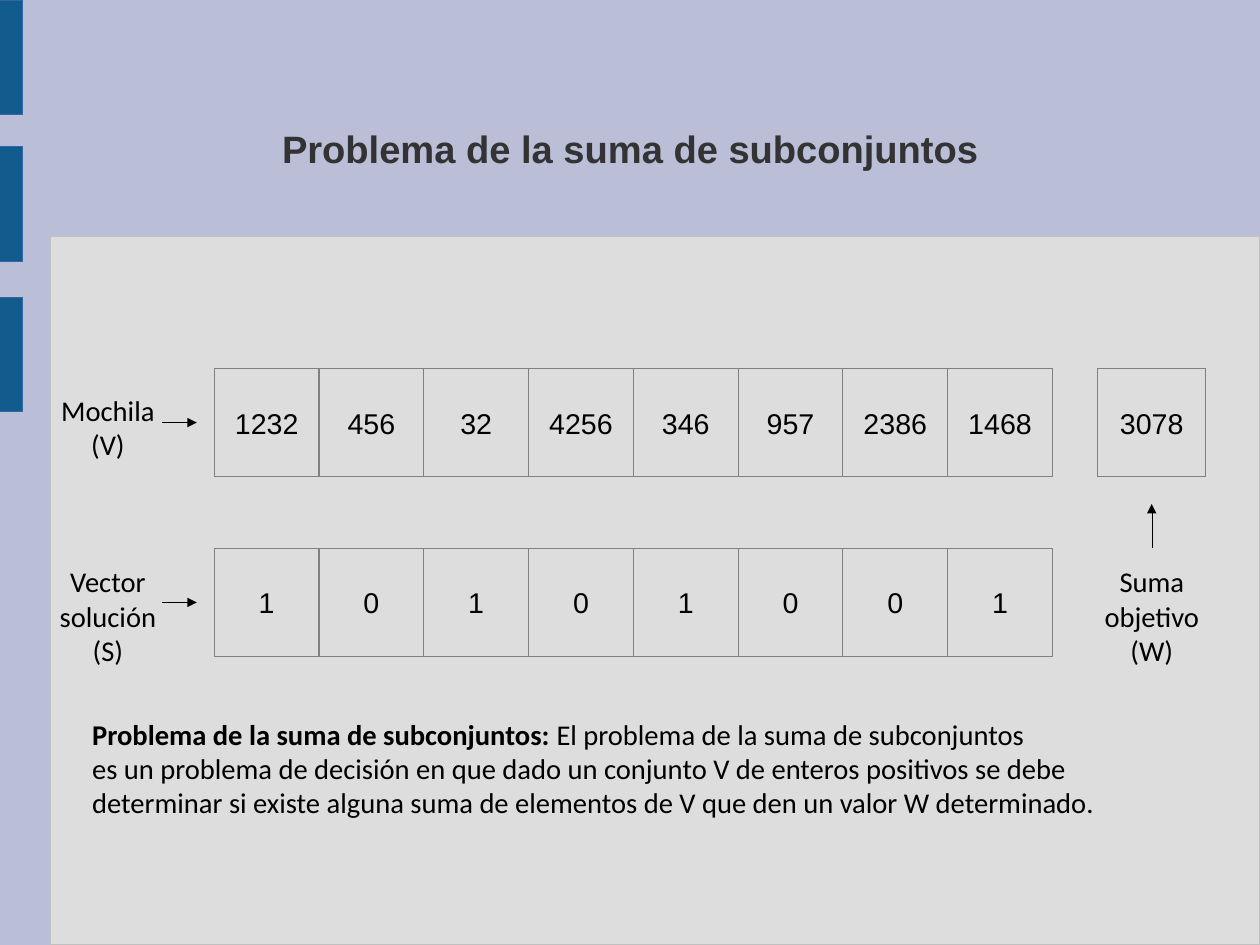
from lxml import etree
from pptx import Presentation
from pptx.dml.color import RGBColor
from pptx.enum.shapes import MSO_CONNECTOR, MSO_SHAPE
from pptx.enum.text import MSO_ANCHOR, PP_ALIGN
from pptx.oxml.ns import qn
from pptx.util import Pt

RECTANGLE = MSO_SHAPE.RECTANGLE
STRAIGHT = MSO_CONNECTOR.STRAIGHT
TOP, MIDDLE = MSO_ANCHOR.TOP, MSO_ANCHOR.MIDDLE
LEFT, CENTER = PP_ALIGN.LEFT, PP_ALIGN.CENTER

LAVENDER = RGBColor(0xBA, 0xBE, 0xD6)
PANEL_GREY = RGBColor(0xDD, 0xDD, 0xDD)
PANEL_EDGE = RGBColor(0xC0, 0xC0, 0xC0)
BAR_BLUE = RGBColor(0x12, 0x5C, 0x8D)
BAR_EDGE = RGBColor(0x34, 0x65, 0xA4)
CELL_EDGE = RGBColor(0x80, 0x80, 0x80)
TITLE_GREY = RGBColor(0x33, 0x33, 0x33)
BLACK = RGBColor(0, 0, 0)

WIDTH, HEIGHT = 793.75, 595.25
PANEL_LEFT, PANEL_TOP = 31.9, 149
CELL_LEFT, CELL_WIDTH, CELL_HEIGHT = 135, 66, 68
KNAPSACK_TOP, SOLUTION_TOP = 232.2, 345.5
TARGET_LEFT = 691.5
KNAPSACK = [1232, 456, 32, 4256, 346, 957, 2386, 1468]
SOLUTION = [1, 0, 1, 0, 1, 0, 0, 1]
TARGET = 3078
TITLE = "Problema de la suma de subconjuntos"
DEFINITION = [
    [(TITLE + ":", True), (" El problema de la suma de subconjuntos", False)],
    "es un problema de decisión en que dado un conjunto V de enteros positivos se debe",
    "determinar si existe alguna suma de elementos de V que den un valor W determinado.",
]


def write_text(shape, paragraphs, font="Calibri", size=18, color=BLACK, bold=False,
               align=CENTER, anchor=TOP, margins=(7.2, 3.6)):
    """Fill a shape with paragraphs, each a string or a list of (text, bold) runs."""
    frame = shape.text_frame
    frame.word_wrap = True
    frame.vertical_anchor = anchor
    frame.margin_left = frame.margin_right = Pt(margins[0])
    frame.margin_top = frame.margin_bottom = Pt(margins[1])
    for index, content in enumerate(paragraphs):
        paragraph = frame.add_paragraph() if index else frame.paragraphs[0]
        paragraph.alignment = align
        runs = [(content, bold)] if isinstance(content, str) else content
        for text, run_bold in runs:
            run = paragraph.add_run()
            run.text = text
            run.font.name = font
            run.font.size = Pt(size)
            run.font.bold = run_bold
            run.font.color.rgb = color


def set_hairline(shape, color):
    """Give a shape or connector a zero-width line and return its line element."""
    shape.line.color.rgb = color
    line = shape._element.spPr.find(qn("a:ln"))
    line.set("w", "0")
    return line


def add_rectangle(slide, left, top, width, height, edge, fill=None):
    """Add a hairline rectangle, unfilled unless a fill is given."""
    shape = slide.shapes.add_shape(RECTANGLE, Pt(left), Pt(top), Pt(width), Pt(height))
    shape.shadow.inherit = False
    if fill is None:
        shape.fill.background()
    else:
        shape.fill.solid()
        shape.fill.fore_color.rgb = fill
    set_hairline(shape, edge)
    return shape


def add_cell(slide, left, top, value, width=CELL_WIDTH):
    """Add one boxed number."""
    cell = add_rectangle(slide, left, top, width, CELL_HEIGHT, CELL_EDGE)
    write_text(cell, [str(value)], font="Arial", anchor=MIDDLE)


def add_vector(slide, top, values):
    """Add a row of adjoining number cells."""
    for index, value in enumerate(values):
        add_cell(slide, CELL_LEFT + index * CELL_WIDTH, top, value)


def add_label(slide, left, top, width, height, paragraphs, **text_format):
    """Add a text box."""
    box = slide.shapes.add_textbox(Pt(left), Pt(top), Pt(width), Pt(height))
    write_text(box, paragraphs, **text_format)


def add_arrow(slide, start_x, start_y, end_x, end_y):
    """Add a hairline arrow with a triangular head at its end."""
    arrow = slide.shapes.add_connector(STRAIGHT, Pt(start_x), Pt(start_y), Pt(end_x), Pt(end_y))
    line = set_hairline(arrow, BLACK)
    etree.SubElement(line, qn("a:tailEnd"), type="triangle")
    etree.SubElement(arrow._element.spPr, qn("a:effectLst"))


def main():
    """Build the subset sum slide."""
    presentation = Presentation()
    presentation.slide_width, presentation.slide_height = Pt(WIDTH), Pt(HEIGHT)
    slide = presentation.slides.add_slide(presentation.slide_layouts[6])
    slide.background.fill.solid()
    slide.background.fill.fore_color.rgb = LAVENDER

    add_rectangle(slide, PANEL_LEFT, PANEL_TOP, WIDTH - PANEL_LEFT, HEIGHT - PANEL_TOP,
                  PANEL_EDGE, PANEL_GREY)
    for top in (0, 92.2, 187.2):
        add_rectangle(slide, 0, top, 14.4, 72.3, BAR_EDGE, BAR_BLUE)
    add_label(slide, 58.3, 43.7, 677.5, 99.4, [TITLE], font="Arial", size=24,
              color=TITLE_GREY, bold=True, anchor=MIDDLE, margins=(0, 0))

    add_vector(slide, KNAPSACK_TOP, KNAPSACK)
    add_vector(slide, SOLUTION_TOP, SOLUTION)
    add_cell(slide, TARGET_LEFT, KNAPSACK_TOP, TARGET, width=CELL_HEIGHT)

    add_label(slide, 17, 243.8, 102, 51, ["Mochila", "(V)"])
    add_label(slide, 17, 351.8, 102, 72.7, ["Vector solución", "(S)"])
    add_label(slide, 680.3, 351.8, 90.7, 72.7, ["Suma objetivo (W)"])
    for top in (KNAPSACK_TOP, SOLUTION_TOP):
        middle = top + CELL_HEIGHT / 2
        add_arrow(slide, 102, middle, 124, middle)
    target_center = TARGET_LEFT + CELL_HEIGHT / 2
    add_arrow(slide, target_center, SOLUTION_TOP, target_center, 317.5)

    add_label(slide, 51, 447.8, 731.5, 72.7, DEFINITION, align=LEFT)
    presentation.save("out.pptx")


if __name__ == "__main__":
    main()
